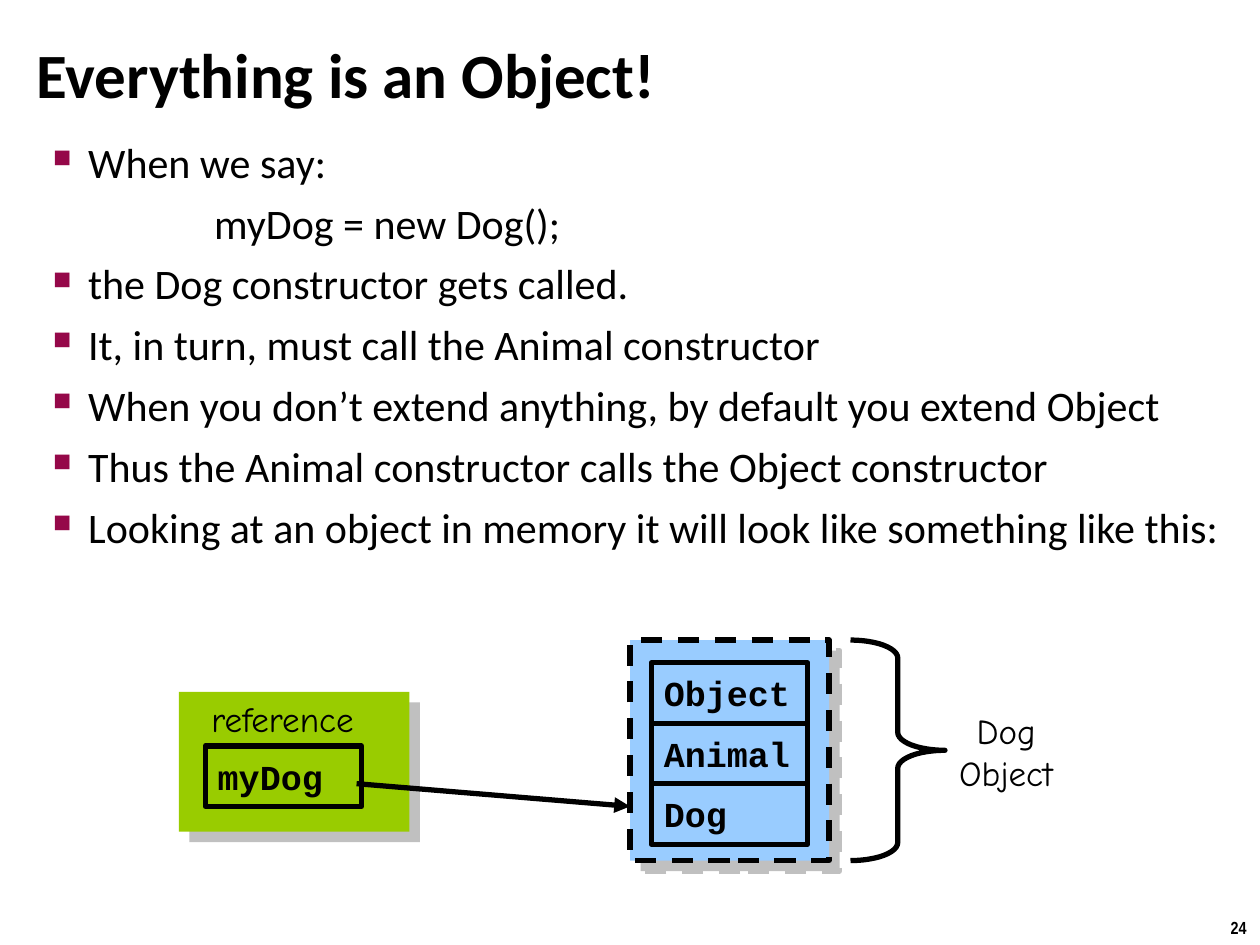
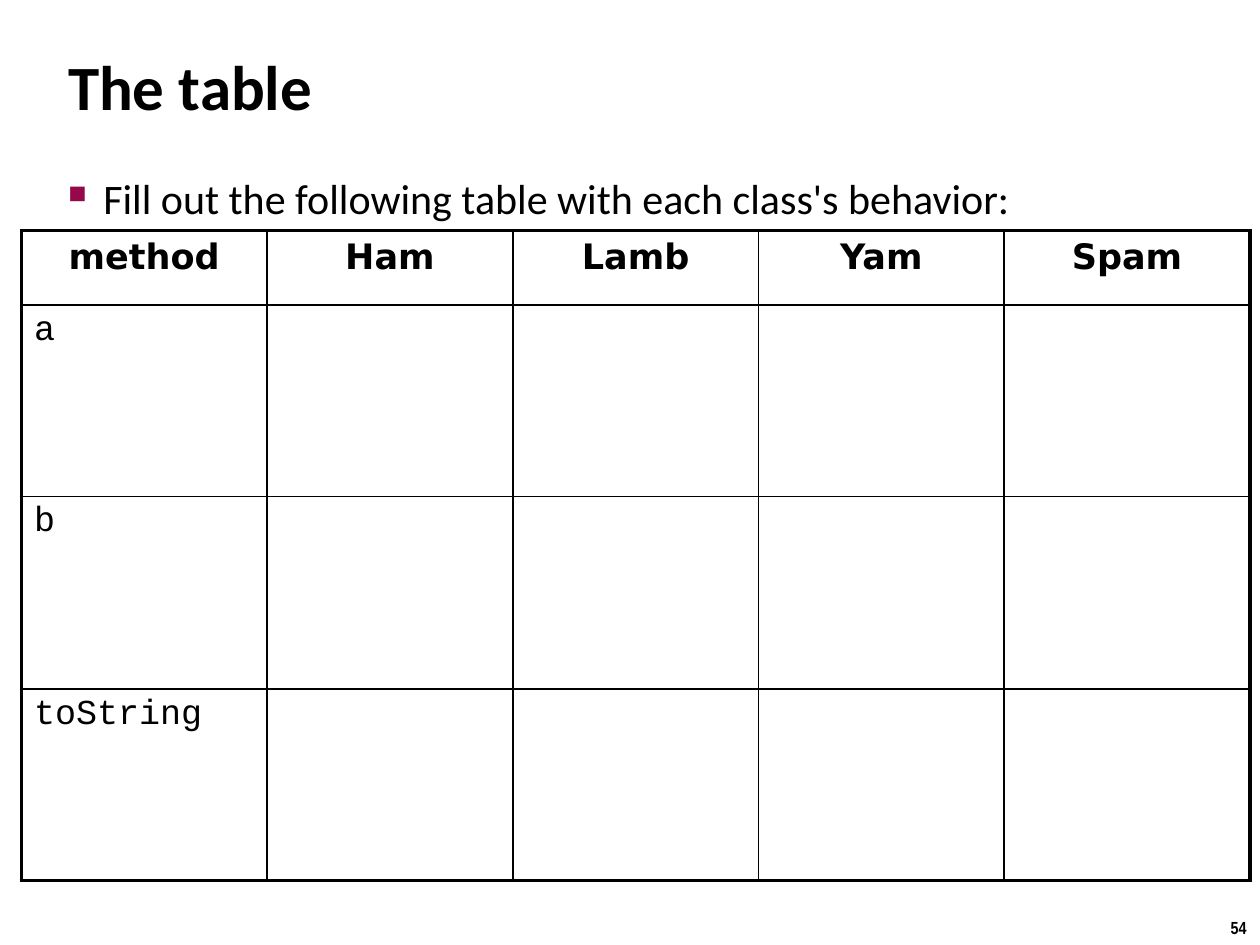
from lxml import etree
from pptx import Presentation
from pptx.dml.color import RGBColor
from pptx.enum.dml import MSO_LINE
from pptx.enum.shapes import MSO_CONNECTOR, MSO_SHAPE
from pptx.enum.text import MSO_ANCHOR, MSO_AUTO_SIZE, PP_ALIGN
from pptx.oxml import parse_xml
from pptx.oxml.ns import nsdecls, qn
from pptx.util import Inches, Pt

LEFT, CENTER = PP_ALIGN.LEFT, PP_ALIGN.CENTER
TOP, MIDDLE = MSO_ANCHOR.TOP, MSO_ANCHOR.MIDDLE
NO_FIT, GROW = MSO_AUTO_SIZE.NONE, MSO_AUTO_SIZE.SHAPE_TO_FIT_TEXT
RECT, BRACE = MSO_SHAPE.RECTANGLE, MSO_SHAPE.RIGHT_BRACE
STRAIGHT, DASH = MSO_CONNECTOR.STRAIGHT, MSO_LINE.DASH

BLACK, BLUE, GREEN = "000000", "99CCFF", "99CC00"
BULLET = "950849"
SHADOW = "C0C0C0"
BODY, CODE, COMIC = "Calibri", "Courier New", "Comic Neue"
INSET = Inches(0.04)


def rgb(value):
    return RGBColor.from_string(value)


def write(tf, text, font=BODY, size=24, bold=False, align=LEFT, before=0,
          anchor=TOP, wrap=False, fit=NO_FIT, inset=None):
    """Fill a text frame, one paragraph for each line of text."""
    tf.word_wrap, tf.auto_size, tf.vertical_anchor = wrap, fit, anchor
    if inset is not None:
        tf.margin_left = tf.margin_right = tf.margin_top = tf.margin_bottom = inset
    for i, line in enumerate(text.split("\n")):
        p = tf.add_paragraph() if i else tf.paragraphs[0]
        p.alignment, p.space_before = align, Pt(before)
        r = p.add_run()
        r.text = line
        r.font.name, r.font.size, r.font.bold = font, Pt(size), bold
        r.font.color.rgb = rgb(BLACK)


prs = Presentation()
prs.slide_width, prs.slide_height = Inches(10), Inches(7.5)

code_line = "myDog = new Dog();"
constructor_points = "\n".join([
    "When we say:",
    code_line,
    "the Dog constructor gets called.",
    "It, in turn, must call the Animal constructor",
    "When you don’t extend anything, by default you extend Object",
    "Thus the Animal constructor calls the Object constructor",
    "Looking at an object in memory it will look like something like this:",
])
table_point = "Fill out the following table with each class's behavior:"

# Title, bullets and page number of both slides
pages = [
    ("Everything is an Object!", (0.25, -0.01), constructor_points,
     (0.38, 1.04, 9.46, 3.63), "24"),
    ("The table", (0.5, 0.08), table_point, (0.5, 1.33, 9.08, 5.94), "54"),
]
for title, (left, top), points, body_box, number in pages:
    slide = prs.slides.add_slide(prs.slide_layouts[5])
    sp = slide.shapes.title
    sp.left, sp.top = Inches(left), Inches(top)
    sp.width, sp.height = Inches(9.08), Inches(1.19)
    write(sp.text_frame, title, size=36, bold=True, anchor=MIDDLE, wrap=True, inset=INSET)

    tf = slide.shapes.add_textbox(*map(Inches, body_box)).text_frame
    write(tf, points, before=6, wrap=True, inset=INSET)
    for p in tf.paragraphs:
        pPr = p._p.get_or_add_pPr()
        if p.text == code_line:
            pPr.set("marL", str(Inches(1.28)))
            continue
        pPr.set("marL", str(Inches(0.28)))
        pPr.set("indent", str(-Inches(0.28)))
        color = etree.SubElement(pPr, qn("a:buClr"))
        etree.SubElement(color, qn("a:srgbClr"), val=BULLET)
        etree.SubElement(pPr, qn("a:buSzPct"), val="60000")
        etree.SubElement(pPr, qn("a:buChar"), char="■")

    number_box = slide.shapes.add_textbox(
        Inches(9.66), Inches(7.23), Inches(0.34), Inches(0.27))
    write(number_box.text_frame, number, font="Arial Narrow", size=10, bold=True,
          align=CENTER, fit=GROW)

object_slide, table_slide = prs.slides

# Memory diagram: panels with shadows, labelled cells, brace
cell_width, cell_height = 1.24, 0.48
memory_shapes = [
    (RECT, (5, 5.08, 1.58, 1.75), BLUE, True, ""),
    (RECT, (1.42, 5.49, 1.83, 1.11), GREEN, False, ""),
]
for i, name in enumerate(["Object", "Animal", "Dog"]):
    box = (5.17, 5.26 + i * cell_height, cell_width, cell_height)
    memory_shapes.append((RECT, box, None, True, name))
memory_shapes += [
    (RECT, (1.63, 5.92, cell_width, cell_height), None, True, "myDog"),
    (BRACE, (6.75, 5.08, 0.75, 1.75), None, True, ""),
]
for kind, box, fill, outlined, label in memory_shapes:
    sp = object_slide.shapes.add_shape(kind, *map(Inches, box))
    sp.shadow.inherit = False
    if outlined:
        sp.line.color.rgb, sp.line.width = rgb(BLACK), Pt(3)
    else:
        sp.line.fill.background()
    if fill:
        sp.fill.solid()
        sp.fill.fore_color.rgb = rgb(fill)
        effects = sp._element.spPr.find(qn("a:effectLst"))
        effects.append(parse_xml(
            f'<a:outerShdw {nsdecls("a")} dist="{Pt(8.5)}" dir="2700000" algn="ctr" '
            f'rotWithShape="0"><a:srgbClr val="{SHADOW}"/></a:outerShdw>'))
    else:
        sp.fill.background()
    if fill == BLUE:
        sp.line.dash_style = DASH
    if kind == BRACE:
        sp.adjustments[0], sp.adjustments[1] = 0.19, 0.5
    if label:
        write(sp.text_frame, label, font=CODE, size=20, bold=True, anchor=MIDDLE)

arrow = object_slide.shapes.add_connector(
    STRAIGHT, Inches(2.83), Inches(6.22), Inches(5), Inches(6.4))
arrow.line.color.rgb, arrow.line.width = rgb(BLACK), Pt(3)
etree.SubElement(arrow.line._get_or_add_ln(), qn("a:tailEnd"), type="triangle")
etree.SubElement(arrow._element.spPr, qn("a:effectLst"))

for text, box, align in [("Dog\nObject", (7.42, 5.58, 1.13, 0.77), CENTER),
                         ("reference", (1.58, 5.49, 1.51, 0.43), LEFT)]:
    sp = object_slide.shapes.add_textbox(*map(Inches, box))
    write(sp.text_frame, text, font=COMIC, size=20, align=align, fit=GROW)

# Exercise table: thick frame, thin inner lines
classes = ["method", "Ham", "Lamb", "Yam", "Spam"]
methods = ["a", "b", "toString"]
rows = [classes] + [[m] + [""] * (len(classes) - 1) for m in methods]
row_heights = [0.59, 1.52, 1.53, 1.52]
last_row, last_col = len(rows) - 1, len(classes) - 1

table = table_slide.shapes.add_table(
    len(rows), len(classes), Inches(0.17), Inches(1.83),
    Inches(9.75), Inches(sum(row_heights))).table
table.first_row = table.horz_banding = False
for col in table.columns:
    col.width = Inches(1.95)
for i, values in enumerate(rows):
    table.rows[i].height = Inches(row_heights[i])
    for j, value in enumerate(values):
        cell = table.cell(i, j)
        tcPr = cell._tc.get_or_add_tcPr()
        on_frame = {"lnL": j == 0, "lnR": j == last_col,
                    "lnT": i == 0, "lnB": i == last_row}
        for side, thick in on_frame.items():
            ln = etree.SubElement(tcPr, qn(f"a:{side}"), w=str(Pt(2.25 if thick else 1)))
            solid = etree.SubElement(ln, qn("a:solidFill"))
            etree.SubElement(solid, qn("a:srgbClr"), val=BLACK)
        cell.fill.background()
        if value:
            header = i == 0
            write(cell.text_frame, value, font="DejaVu Sans" if header else CODE,
                  size=20, bold=header, align=CENTER if header else LEFT,
                  before=4, wrap=True)

prs.save("out.pptx")
